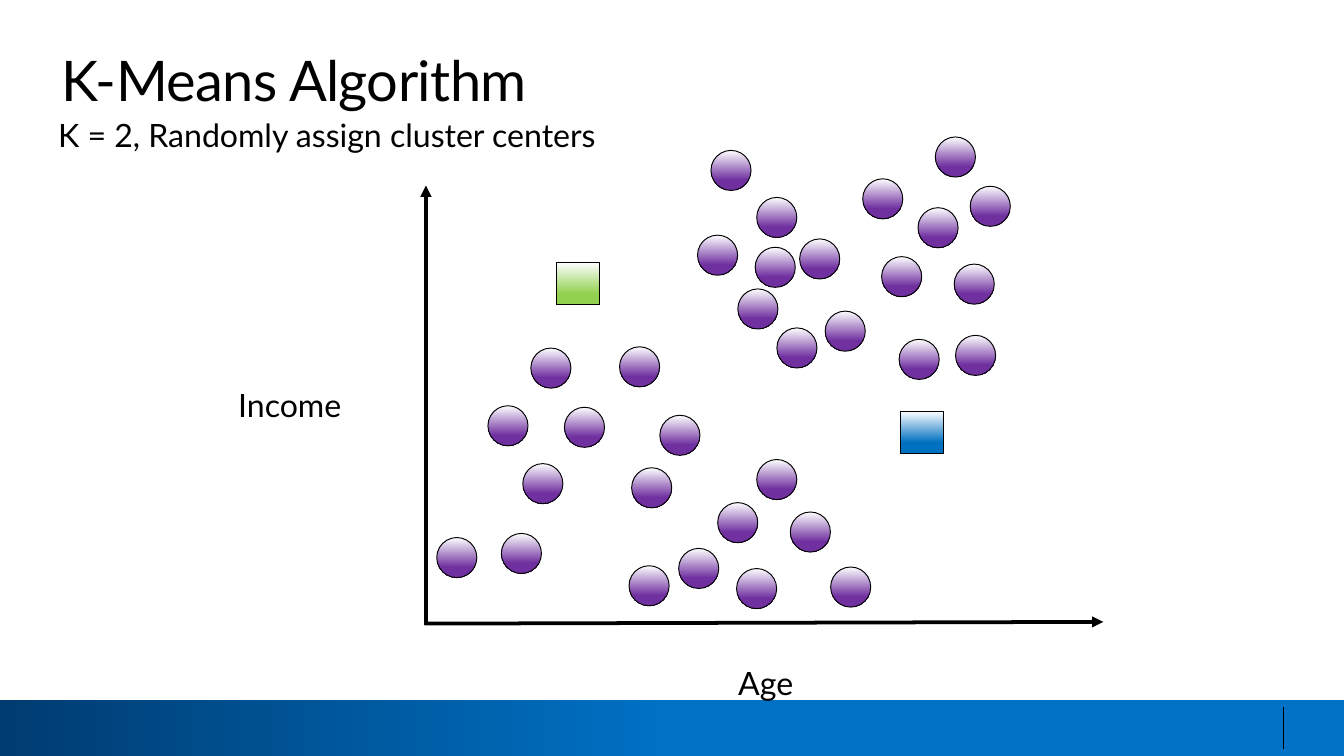
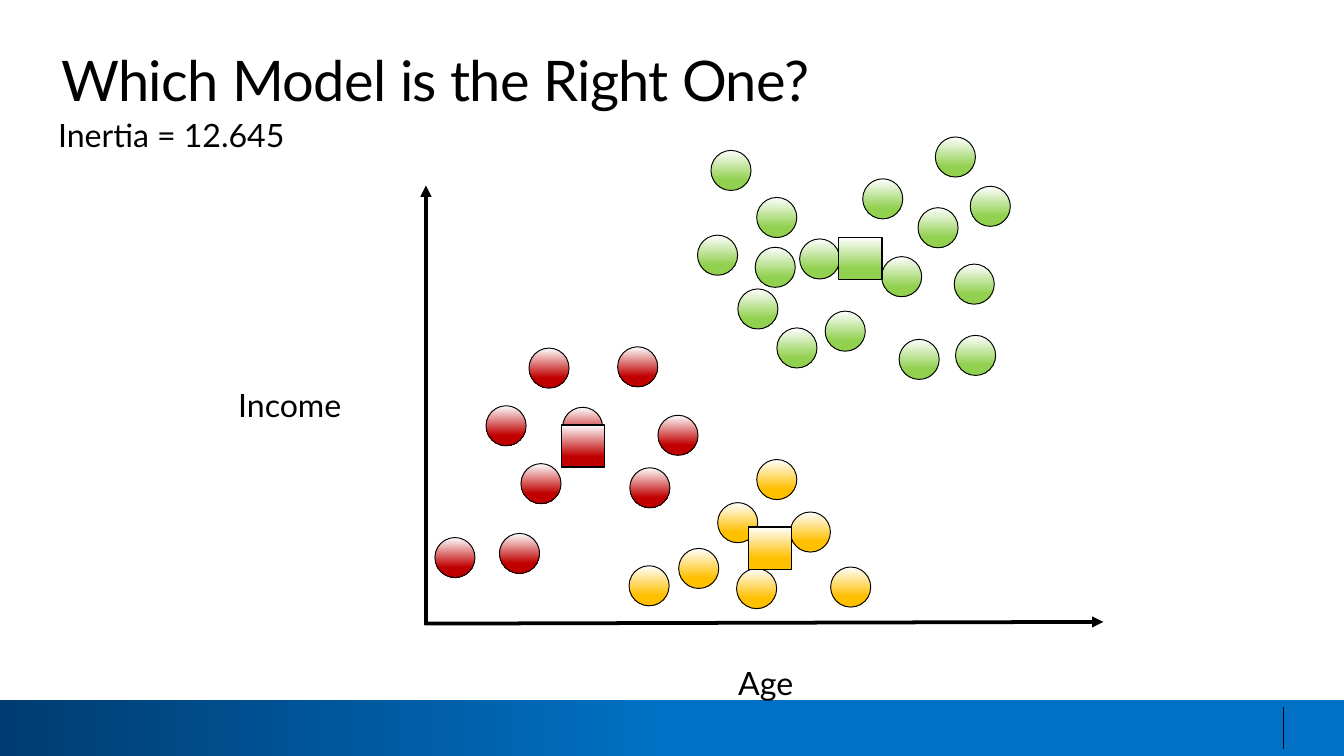
"""Build two slides that show k-means clusters of income against age."""
from lxml import etree
from pptx import Presentation
from pptx.dml.color import RGBColor
from pptx.enum import shapes, text
from pptx.oxml.ns import qn
from pptx.util import Pt

FONT = "Lato"
BLACK, WHITE, NAVY, BAND_BLUE = "000000", "FEFFFF", "003C71", "0071C5"
PURPLE, GREEN, BLUE, RED, GOLD = "7030A0", "92D050", "0070C0", "C00000", "FFC000"
DOT = 21.5
CENTER_W, CENTER_H = 23.2, 22.6

UPPER_DOTS = [
    (380.9, 80.6), (373.7, 126), (405.4, 105.8), (404.6, 132.5),
    (395.3, 154.8), (428.4, 128), (442.1, 166.7), (416.2, 175.7),
    (481.7, 181.8), (511.9, 179.7), (511.2, 141.5), (472.3, 137.5),
    (491.8, 111.3), (519.8, 99.8), (501.1, 73.4), (462.2, 95.8)]
LEFT_DOTS = [
    (234, 288), (261.4, 217.4), (284.4, 186.5), (302.4, 218.2), (331.9, 185.8),
    (353.5, 222.5), (338.4, 250.6), (280.1, 248.4), (268.6, 285.8)]
LOWER_DOTS = [
    (337, 303.1), (363.6, 293.8), (384.5, 269.3), (405.4, 246.2),
    (423.4, 274.3), (394.6, 304.6), (445, 303.8)]


def rgb(value):
    """Turn a hex string into a colour."""
    return RGBColor.from_string(value)


def set_all(target, values):
    """Set each attribute named in a dict."""
    for name, value in values.items():
        setattr(target, name, value)


def add_gradient_shape(s, kind, box, start, end, stop, angle, line=None):
    """Add a preset shape with a two-colour gradient and an optional outline."""
    sp = s.shapes.add_shape(kind, *map(Pt, box))
    sp.shadow.inherit = False
    sp.fill.gradient()
    sp.fill.gradient_angle = angle
    for gs, color, position in zip(sp.fill.gradient_stops, (start, end), (0, stop)):
        gs.color.rgb = rgb(color)
        gs.position = position
    if line:
        sp.line.color.rgb = rgb(BLACK)
        sp.line.width = Pt(line)
    else:
        sp.line.fill.background()
    return sp


def add_line(s, points, width, arrow=False):
    """Add a straight black line, with an arrowhead at its end if asked."""
    cx = s.shapes.add_connector(shapes.MSO_CONNECTOR.STRAIGHT, *map(Pt, points))
    cx.line.color.rgb = rgb(BLACK)
    cx.line.width = Pt(width)
    if arrow:
        etree.SubElement(cx.get_or_add_ln(), qn("a:tailEnd"), type="triangle")
    etree.SubElement(cx.element.spPr, qn("a:effectLst"))
    return cx


def put_text(sp, words, box, size=17.2, align=text.PP_ALIGN.LEFT,
             line_spacing=None, spacing=None):
    """Place a text shape and write one formatted line in it."""
    set_all(sp, dict(zip(("left", "top", "width", "height"), map(Pt, box))))
    tf = sp.text_frame
    set_all(tf, {"margin_left": 0, "margin_top": 0, "margin_right": 0,
                 "margin_bottom": 0, "word_wrap": True,
                 "vertical_anchor": text.MSO_ANCHOR.TOP,
                 "auto_size": text.MSO_AUTO_SIZE.SHAPE_TO_FIT_TEXT})
    p = tf.paragraphs[0]
    p.alignment = align
    p._p.get_or_add_pPr().set("marL", str(Pt(1)))
    if line_spacing:
        p.line_spacing = Pt(line_spacing)
    r = p.add_run()
    r.text = words
    set_all(r.font, {"name": FONT, "size": Pt(size)})
    r.font.color.rgb = rgb(BLACK)
    if spacing:
        r._r.get_or_add_rPr().set("spc", str(spacing))


def add_text(s, words, box, **style):
    """Add a text box."""
    put_text(s.shapes.add_textbox(0, 0, 0, 0), words, box, **style)


def add_dots(s, dots, color, shift=0):
    """Add one round data point for each position."""
    for x, y in dots:
        add_gradient_shape(s, shapes.MSO_SHAPE.OVAL, (x + shift, y, DOT, DOT),
                           WHITE, color, 0.74, 270, 0.5)


def add_centers(s, centers):
    """Add one square cluster center for each position and colour."""
    for x, y, color in centers:
        add_gradient_shape(s, shapes.MSO_SHAPE.RECTANGLE,
                           (x, y, CENTER_W, CENTER_H), WHITE, color, 0.74, 270, 0.75)


def add_footer(layout, s):
    """Move a footer band and its divider from a slide into the layout."""
    for ph in list(layout.placeholders):
        if ph.placeholder_format.type != shapes.PP_PLACEHOLDER.TITLE:
            layout.shapes.element.remove(ph.element)
    band = add_gradient_shape(s, shapes.MSO_SHAPE.RECTANGLE, (0, 375, 720, 30),
                              NAVY, BAND_BLUE, 0.5, 0)
    divider = add_line(s, (687.6, 378.7, 687.6, 401.5), 0.75)
    for i, sp in enumerate((band, divider), 2):
        layout.shapes.element.insert(i, sp.element)


def add_plot_slide(prs, layout, title, subtitle):
    """Add a slide with its title, subtitle, axes and axis labels."""
    s = prs.slides.add_slide(layout)
    put_text(s.shapes.title, title, (31.7, 24.5, 664.6, 36), size=30, spacing=-30)
    add_text(s, subtitle, (30.2, 61.9, 360, 20.9))
    label = {"align": text.PP_ALIGN.CENTER, "line_spacing": 28.5}
    add_text(s, "Age", (279.4, 347.8, 260.6, 27.4), **label)
    add_text(s, "Income", (116.6, 198.7, 76.3, 27.4), **label)
    add_line(s, (228.2, 334.8, 228.2, 99.4), 2, arrow=True)
    add_line(s, (227.5, 334.1, 591.1, 333.2), 2, arrow=True)
    return s


def main():
    """Build and save the slides."""
    prs = Presentation()
    prs.slide_width, prs.slide_height = Pt(720), Pt(405)
    layout = prs.slide_layouts[5]

    s = add_plot_slide(prs, layout, "K-Means Algorithm",
                       "K = 2, Randomly assign cluster centers")
    add_footer(layout, s)
    add_dots(s, UPPER_DOTS + LEFT_DOTS + LOWER_DOTS, PURPLE)
    add_centers(s, [(298.1, 140.7, GREEN), (482.4, 220.4, BLUE)])

    s = add_plot_slide(prs, layout, "Which Model is the Right One?",
                       "Inertia = 12.645")
    add_dots(s, UPPER_DOTS, GREEN)
    add_dots(s, LEFT_DOTS, RED, shift=-1)
    add_dots(s, LOWER_DOTS, GOLD)
    add_centers(s, [(300.8, 227.7, RED), (401, 282.4, GOLD), (449.3, 127.2, GREEN)])

    prs.save("out.pptx")


if __name__ == "__main__":
    main()
